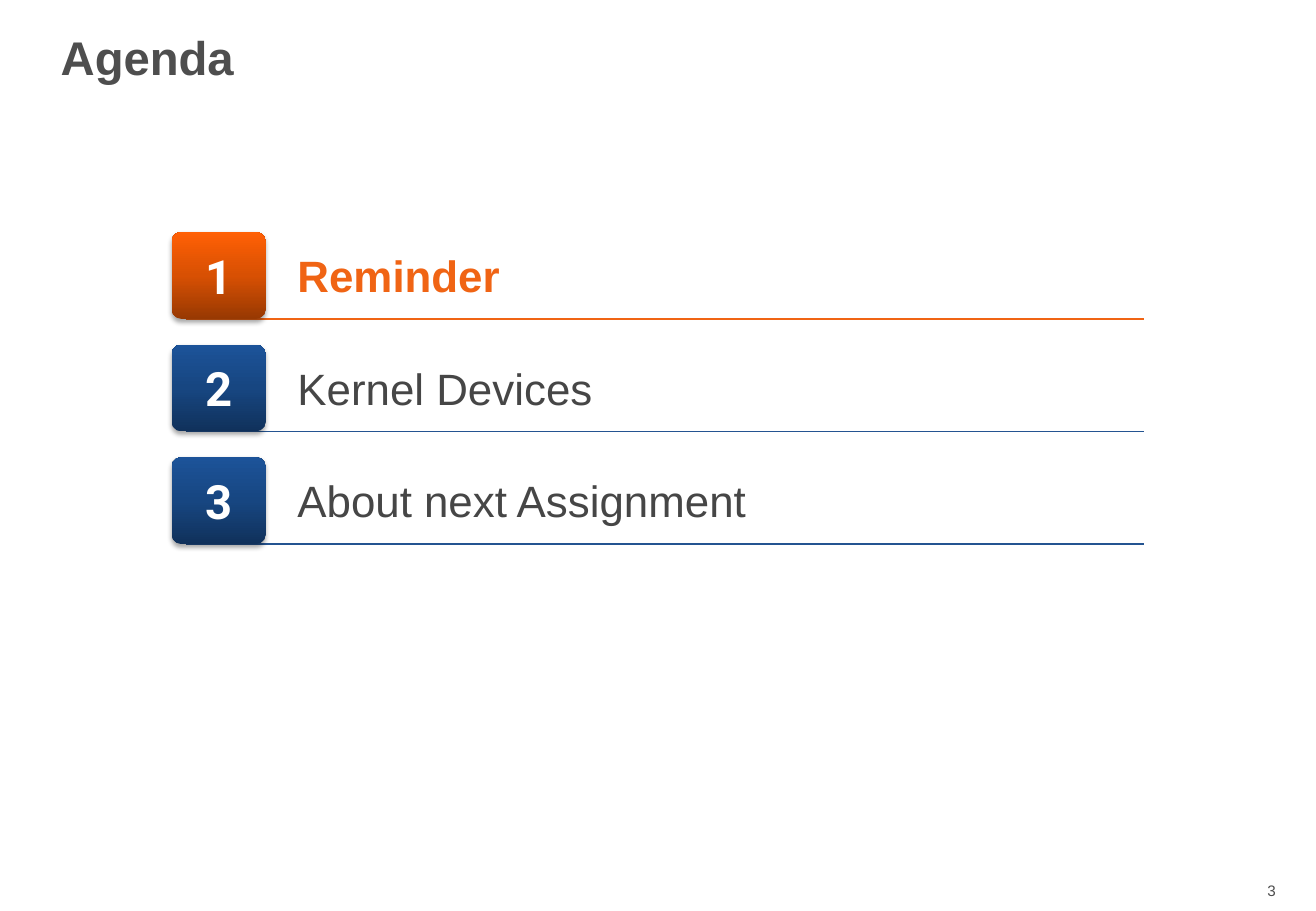
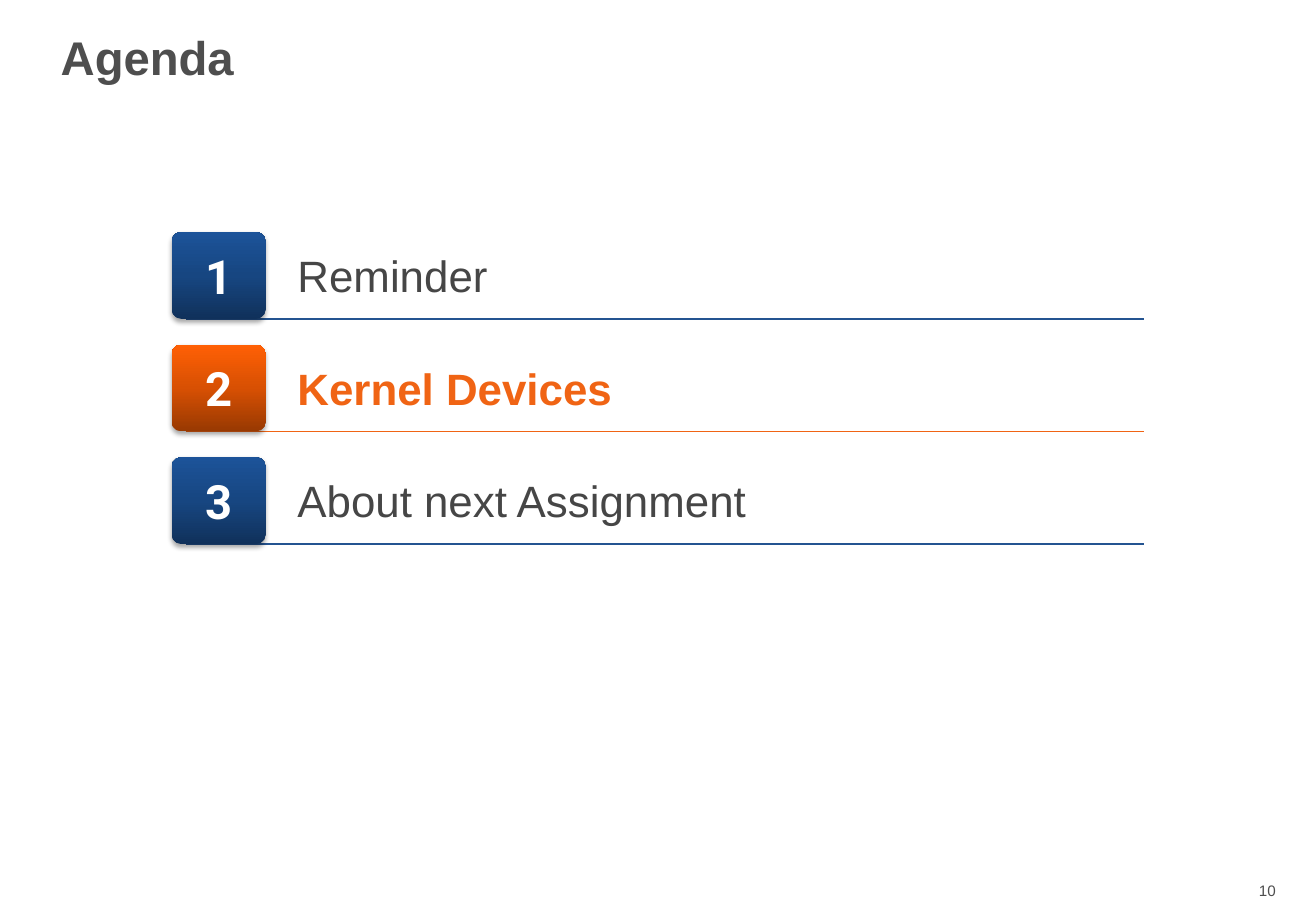
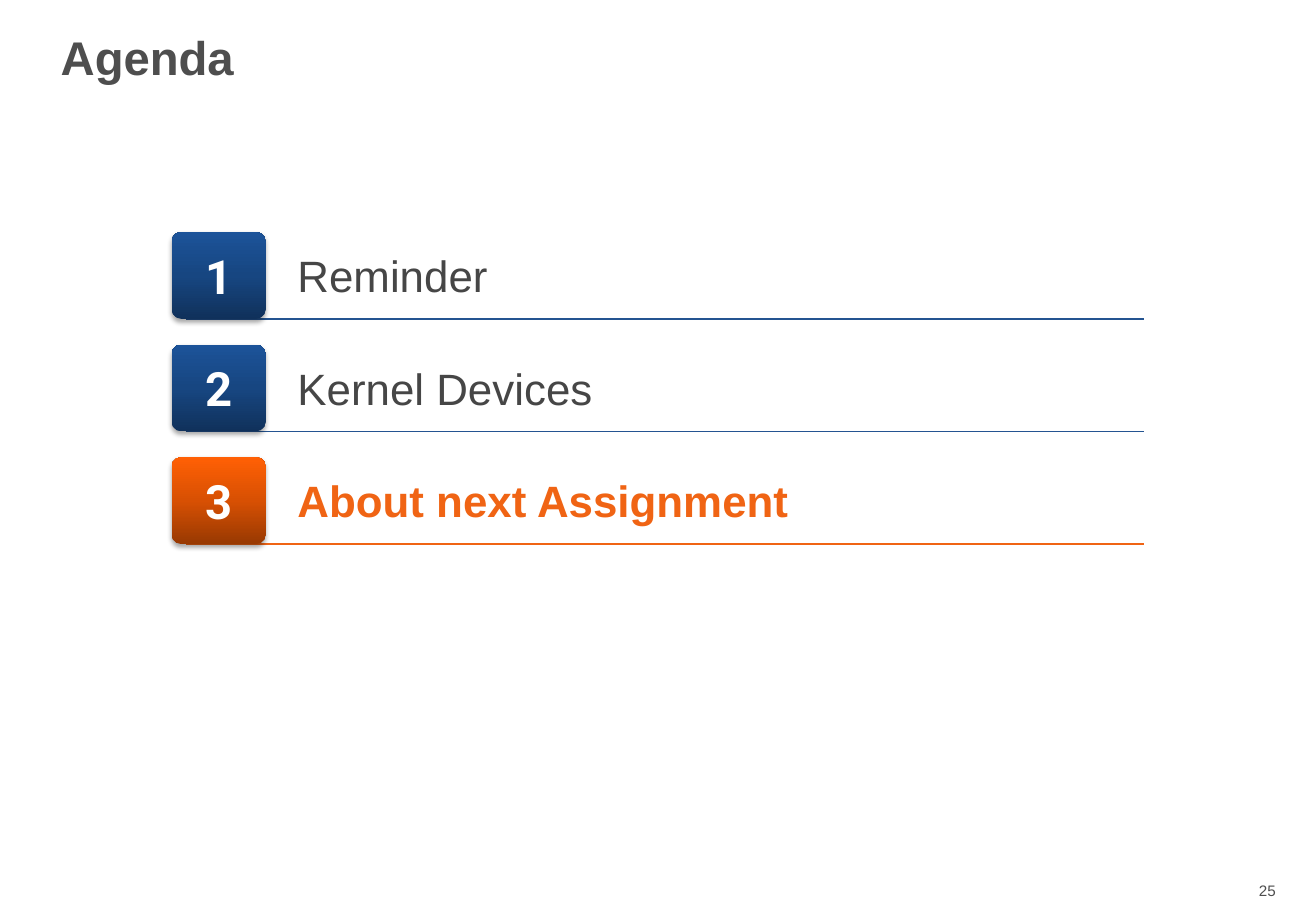
from collections import namedtuple
from copy import deepcopy
from dataclasses import dataclass

from lxml import etree
from pptx import Presentation
from pptx.dml.color import RGBColor
from pptx.enum import shapes, text
from pptx.oxml import ns
from pptx.util import Pt

Box = namedtuple("Box", "left top width height")
Accent = namedtuple("Accent", "line label gradient bold")


@dataclass(frozen=True)
class Theme:
    """Colours, fonts and type sizes shared by all slides."""

    font: str = "Arial"
    number_font: str = "Roboto"
    title_size: float = 28
    number_size: float = 28
    label_size: float = 26
    footer_size: float = 9
    grey: str = "4E4E4E"
    white: str = "FFFFFF"
    shadow: str = "000000"
    current: Accent = Accent("F06414", "F06414", ("983902", "D85003", "FF6005"), True)
    other: Accent = Accent("245491", "464646", ("10315B", "174681", "1C5399"), False)


THEME = Theme()
SLIDE_WIDTH, SLIDE_HEIGHT = 780, 540
TITLE_BOX = Box(28.8, 0, 584.6, 72)
FOOTER_BOX = Box(711.4, 519.1, 51.8, 18)
AGENDA_BOX = Box(101.8, 137.5, 582.1, 185)
ROW_HEIGHT = 51.5
TOPICS = ("Reminder", "Kernel Devices", "About next Assignment")
PAGE_NUMBERS = (3, 10, 25)


def lengths(box):
    """Return the sides of a box as point lengths."""
    return [Pt(side) for side in box]


def add_run(paragraph, content, size, color, bold=False, font=THEME.font):
    """Add one formatted run to a paragraph."""
    run = paragraph.add_run()
    run.text = content
    run.font.name = font
    run.font.size = Pt(size)
    run.font.bold = bold
    run.font.color.rgb = RGBColor.from_string(color)


def add_title(slide, content, box):
    """Place and format the title placeholder."""
    title = slide.shapes.title
    title.left, title.top, title.width, title.height = lengths(box)
    frame = title.text_frame
    frame.auto_size = text.MSO_AUTO_SIZE.NONE
    frame.vertical_anchor = text.MSO_ANCHOR.MIDDLE
    paragraph = frame.paragraphs[0]
    paragraph.alignment = text.PP_ALIGN.LEFT
    paragraph.line_spacing = 0.85
    add_run(paragraph, content, THEME.title_size, THEME.grey, bold=True)


def add_text(container, box):
    """Add a wrapping text box and return its first paragraph."""
    frame = container.add_textbox(*lengths(box)).text_frame
    frame.word_wrap = True
    return frame.paragraphs[0]


def add_page_number(slide, number, box):
    """Write the page number at the right of the footer."""
    paragraph = add_text(slide.shapes, box)
    paragraph.alignment = text.PP_ALIGN.RIGHT
    add_run(paragraph, str(number), THEME.footer_size, THEME.grey)


def fill_gradient(shape, colors):
    """Fill a shape with three colours from bottom to top."""
    shape.fill.gradient()
    shape.fill.gradient_angle = 90
    stop_list = shape.element.spPr.find(".//" + ns.qn("a:gsLst"))
    stop_list.insert(1, deepcopy(stop_list[0]))
    for index, (stop, color) in enumerate(zip(shape.fill.gradient_stops, colors)):
        stop.color.rgb = RGBColor.from_string(color)
        stop.position = index / 2


def add_shadow(shape):
    """Give a shape a soft shadow below it."""
    shape.shadow.inherit = False
    effects = shape.element.spPr.find(ns.qn("a:effectLst"))
    shadow = etree.SubElement(
        effects, ns.qn("a:outerShdw"), blurRad=str(Pt(3.1)), dist=str(Pt(1.8)),
        dir="5400000", rotWithShape="0")
    color = etree.SubElement(shadow, ns.qn("a:srgbClr"), val=THEME.shadow)
    etree.SubElement(color, ns.qn("a:alpha"), val="35000")


def add_rule(container, left, right, top, color):
    """Draw a thin horizontal line without a shadow."""
    rule = container.add_connector(
        shapes.MSO_CONNECTOR.STRAIGHT, Pt(left), Pt(top), Pt(right), Pt(top))
    rule.line.color.rgb = RGBColor.from_string(color)
    rule.line.width = Pt(1)
    etree.SubElement(rule.element.spPr, ns.qn("a:effectLst"))


def add_badge(container, number, gradient, box):
    """Draw a rounded badge with the number of a topic."""
    badge = container.add_shape(shapes.MSO_SHAPE.ROUNDED_RECTANGLE, *lengths(box))
    badge.adjustments[0] = 0.11
    fill_gradient(badge, gradient)
    badge.line.fill.background()
    add_shadow(badge)
    frame = badge.text_frame
    frame.margin_left = frame.margin_right = Pt(14.4)
    frame.margin_top = frame.margin_bottom = Pt(7.2)
    frame.vertical_anchor = text.MSO_ANCHOR.MIDDLE
    paragraph = frame.paragraphs[0]
    paragraph.alignment = text.PP_ALIGN.CENTER
    add_run(paragraph, str(number), THEME.number_size, THEME.white, True, THEME.number_font)


def add_topic(slide, number, topic, accent, box):
    """Group the rule, badge and label of one agenda row."""
    group = slide.shapes.add_group_shape().shapes
    right, bottom = box.left + box.width, box.top + box.height
    add_rule(group, box.left + 8.4, right - 5.6, bottom, accent.line)
    add_badge(group, number, accent.gradient, box._replace(width=55.6))
    label_left = box.left + 67.4
    label = add_text(group, Box(label_left, box.top + 6.5, right - label_left, 38.9))
    label.space_before = Pt(3)
    add_run(label, topic, THEME.label_size, accent.label, accent.bold)


def add_agenda(slide, current, box):
    """Spread the topics evenly over a box and highlight the current one."""
    pitch = (box.height - ROW_HEIGHT) / (len(TOPICS) - 1)
    for index, topic in enumerate(TOPICS):
        accent = THEME.current if index == current else THEME.other
        row = box._replace(top=box.top + index * pitch, height=ROW_HEIGHT)
        add_topic(slide, index + 1, topic, accent, row)


def add_agenda_slide(presentation, current, page_number):
    """Add an agenda slide for the current topic."""
    slide = presentation.slides.add_slide(presentation.slide_layouts[5])
    add_page_number(slide, page_number, FOOTER_BOX)
    add_title(slide, "Agenda", TITLE_BOX)
    add_agenda(slide, current, AGENDA_BOX)


def main():
    """Build and save the presentation."""
    presentation = Presentation()
    presentation.slide_width = Pt(SLIDE_WIDTH)
    presentation.slide_height = Pt(SLIDE_HEIGHT)
    for current, page_number in enumerate(PAGE_NUMBERS):
        add_agenda_slide(presentation, current, page_number)
    presentation.save("out.pptx")


if __name__ == "__main__":
    main()
